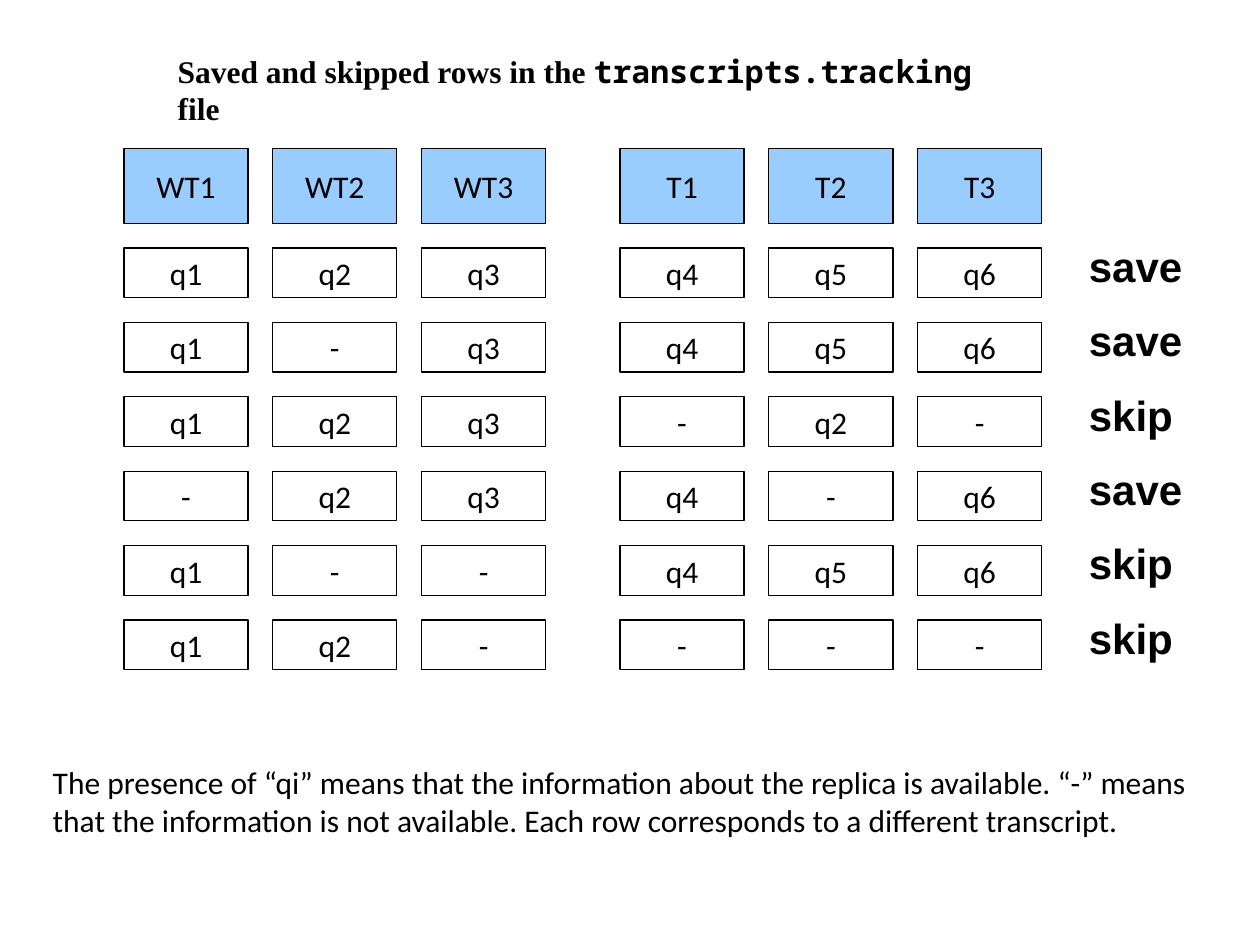
from dataclasses import dataclass

from pptx import Presentation
from pptx.dml.color import RGBColor as RGB
from pptx.enum.shapes import MSO_SHAPE as Kind
from pptx.enum.text import MSO_ANCHOR as Anchor, MSO_AUTO_SIZE as Fit, PP_ALIGN as Align
from pptx.util import Cm, Inches, Pt


@dataclass(frozen=True)
class Theme:
    """Colours, fonts and type sizes of the slide."""
    ink: RGB = RGB(0, 0, 0)
    head: RGB = RGB(0x99, 0xCC, 0xFF)
    cell: RGB = RGB(0xFF, 0xFF, 0xFF)
    body: str = "Calibri"
    serif: str = "Times New Roman"
    mono: str = "Noto Sans Mono"
    sans: str = "Arial"
    text: Pt = Pt(18)
    mark: Pt = Pt(24)
    line: Pt = Pt(0.75)


THEME = Theme()
UNIT = Cm(0.5)
COLS = (0, 6, 12, 20, 26, 32)  # left edges in units; the wider gap parts the groups
WIDE = 5
HEAD_H, CELL_H, FIRST, STEP = 3, 2, 4, 3  # header, cell, first row, row pitch

TITLE = (
    ("Saved and skipped rows in the ", THEME.serif),
    ("transcripts.tracking ", THEME.mono),
    ("file", THEME.serif),
)
HEADS = ("WT1", "WT2", "WT3", "T1", "T2", "T3")
ROWS = (
    ("q1 q2 q3 q4 q5 q6", "save"),
    ("q1 - q3 q4 q5 q6", "save"),
    ("q1 q2 q3 - q2 -", "skip"),
    ("- q2 q3 q4 - q6", "save"),
    ("q1 - - q4 q5 q6", "skip"),
    ("q1 q2 - - - -", "skip"),
)
NOTE = ("The presence of “qi” means that the information about the replica is "
        "available. “-” means that the information is not available. "
        "Each row corresponds to a different transcript.")


def style(font, name, size=THEME.text, bold=False):
    """Set the face, size, weight and colour of a font."""
    font.name, font.size, font.bold = name, size, bold
    font.color.rgb = THEME.ink


def add_title(slide, box):
    """Fill the title placeholder with runs in two faces."""
    title = slide.shapes.title
    title.left, title.top, title.width, title.height = box
    frame = title.text_frame
    frame.word_wrap, frame.auto_size = False, Fit.SHAPE_TO_FIT_TEXT
    frame.vertical_anchor = Anchor.TOP
    para = frame.paragraphs[0]
    para.alignment = Align.LEFT
    for text, face in TITLE:
        run = para.add_run()
        run.text = text
        style(run.font, face, bold=True)


def add_text(slide, box, text, face, size=THEME.text, bold=False):
    """Place a wrapped text box."""
    frame = slide.shapes.add_textbox(*box).text_frame
    frame.word_wrap = True
    para = frame.paragraphs[0]
    para.text = text
    style(para.font, face, size, bold)


def add_cell(slide, box, text, fill):
    """Place one outlined cell with centred text."""
    cell = slide.shapes.add_shape(Kind.ROUNDED_RECTANGLE, *box)
    cell.adjustments[0] = 0
    cell.shadow.inherit = False
    cell.fill.solid()
    cell.fill.fore_color.rgb = fill
    cell.line.color.rgb = THEME.ink
    cell.line.width = THEME.line
    frame = cell.text_frame
    frame.vertical_anchor = Anchor.MIDDLE
    para = frame.paragraphs[0]
    para.text = text
    para.alignment = Align.CENTER
    style(para.font, THEME.body)


def add_band(slide, left, top, high, texts, fill):
    """Place one row of cells on the column grid."""
    for col, text in zip(COLS, texts):
        add_cell(slide, (left + col * UNIT, top, WIDE * UNIT, high * UNIT), text, fill)


def add_grid(slide, left, top):
    """Place the header, the rows and the verdict beside each row."""
    add_band(slide, left, top, HEAD_H, HEADS, THEME.head)
    side = left + Inches(7.56)
    for i, (cells, mark) in enumerate(ROWS):
        y = top + (FIRST + i * STEP) * UNIT
        add_band(slide, left, y, CELL_H, cells.split(), THEME.cell)
        box = (side, y - Inches(0.11), WIDE * UNIT, Inches(0.5))
        add_text(slide, box, mark, THEME.sans, THEME.mark, True)


def main():
    """Build and save the slide."""
    deck = Presentation()
    deck.slide_width, deck.slide_height = Inches(10), Inches(7.5)
    slide = deck.slides.add_slide(deck.slide_layouts.get_by_name("Title Only"))
    add_title(slide, [Inches(n) for n in (1.31, 0.36, 6.96, 0.41)])
    add_grid(slide, 5 * UNIT, 6 * UNIT)
    add_text(slide, [Inches(n) for n in (0.32, 6.01, 9.46, 0.71)], NOTE, THEME.body)
    deck.save("out.pptx")


main()
